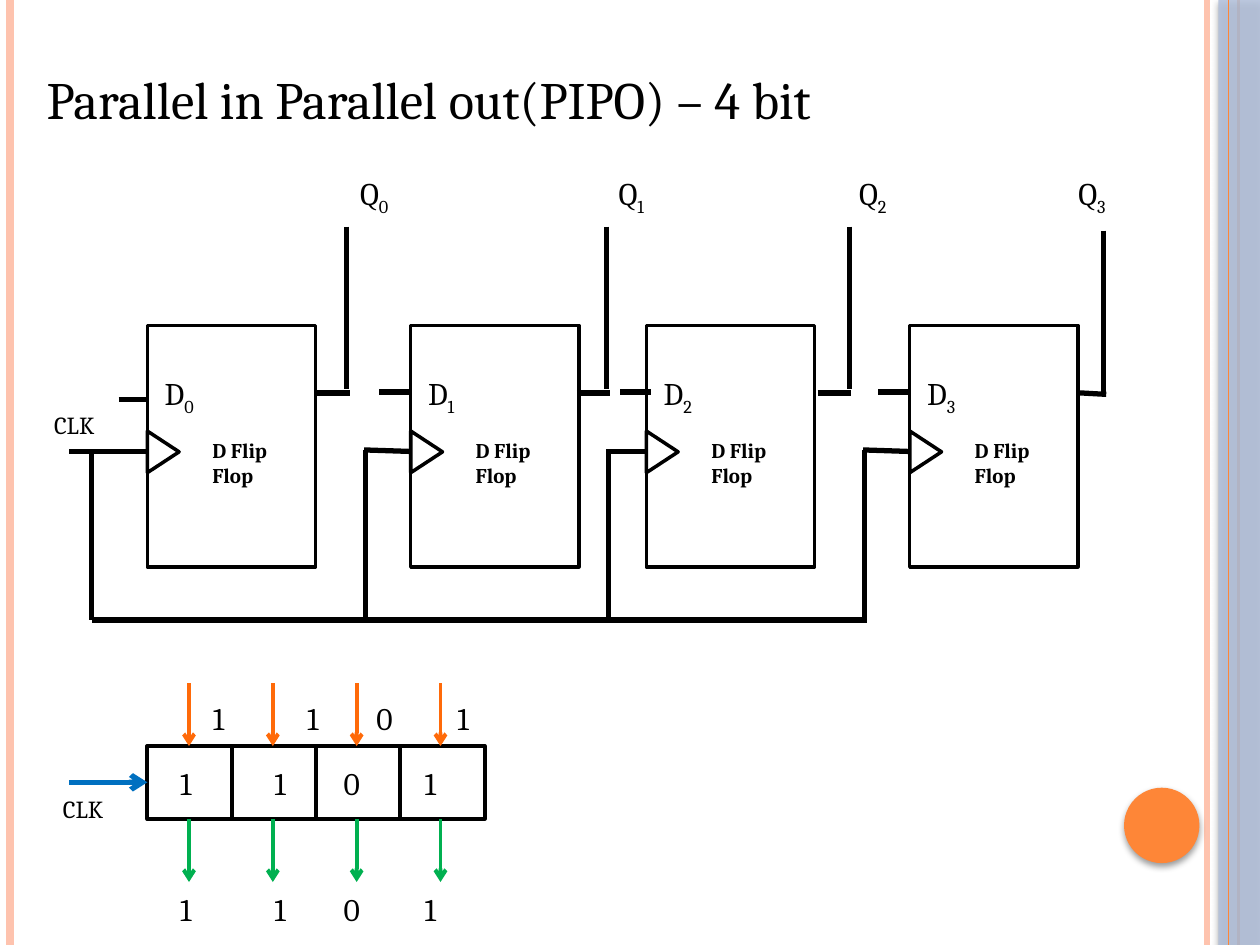
"""Build the slide on a 4-bit parallel in, parallel out register."""
from lxml.etree import SubElement as Sub
from pptx import Presentation
from pptx.dml.color import RGBColor as RGB
from pptx.enum.shapes import MSO_CONNECTOR as Link, MSO_SHAPE as Kind
from pptx.enum.text import MSO_ANCHOR as Anchor, MSO_AUTO_SIZE as Auto
from pptx.oxml.ns import qn
from pptx.util import Cm, Pt

HUES = {
    "ink": "000000", "pale": "FEC3AE", "edge": "FE8637", "side": "B3C1DB",
    "load": "FF6A09", "clock": "0070C0", "out": "00B050",
}

deck = Presentation()
deck.slide_width, deck.slide_height = Cm(25.4), Cm(19.05)
slide = deck.slides.add_slide(deck.slide_layouts[6])
shapes = slide.shapes


def wire(x1, y1, x2, y2, hue="ink", width=3, arrow=False):
    line = shapes.add_connector(Link.STRAIGHT, Cm(x1), Cm(y1), Cm(x2), Cm(y2))
    line.line.color.rgb = RGB.from_string(HUES[hue])
    line.line.width = Pt(width)
    props = line._element.spPr
    if arrow:
        Sub(props.find(qn("a:ln")), qn("a:tailEnd"), type="arrow")
    Sub(props, qn("a:effectLst"))


def label(x, y, w, h, text, size, sub="", bold=False):
    box = shapes.add_textbox(Cm(x), Cm(y), Cm(w), Cm(h))
    frame = box.text_frame
    frame.word_wrap = True
    frame.auto_size = Auto.SHAPE_TO_FIT_TEXT
    for part, base in ((text, 0), (sub, -25000)):
        if part:
            run = frame.paragraphs[0].add_run()
            run.text = part
            run.font.name = "Cambria"
            run.font.size = Pt(size)
            run.font.bold = bold
            run.font.color.rgb = RGB.from_string(HUES["ink"])
            if base:
                run._r.get_or_add_rPr().set("baseline", str(base))
    return frame


for x, hue, width in ((24.33, "pale", 3), (0.2, "pale", 4.5), (24.97, "edge", 1.5)):
    wire(x, 0, x, 19.05, hue, width)

for kind, x, y, w, h, hue, alpha in (
    (Kind.RECTANGLE, 24.56, 0, 0.84, 19.05, "side", 87),
    (Kind.OVAL, 22.66, 15.88, 1.52, 1.52, "edge", 100),
):
    form = shapes.add_shape(kind, Cm(x), Cm(y), Cm(w), Cm(h))
    form.fill.solid()
    form.fill.fore_color.rgb = RGB.from_string(HUES[hue])
    form.line.fill.background()
    form.shadow.inherit = False
    props = form._element.spPr
    tint = props.find(qn("a:solidFill")).find(qn("a:srgbClr"))
    Sub(tint, qn("a:alpha"), val=str(alpha * 1000))
    shade = Sub(props.find(qn("a:effectLst")), qn("a:outerShdw"), blurRad="50800",
                dist="25400", dir="5400000", rotWithShape="0")
    black = Sub(shade, qn("a:srgbClr"), val=HUES["ink"])
    Sub(black, qn("a:alpha"), val="40000")
wire(24.77, 0, 24.77, 19.05, "edge", 0.75)

title = label(0.69, -0.43, 20.75, 3.18, "Parallel in Parallel out(PIPO) – 4 bit", 30)
title.auto_size = Auto.NONE
title.vertical_anchor = Anchor.BOTTOM

flips = (2.97, 8.28, 13.03, 18.34)
cells = [2.97 + 1.7 * i for i in range(4)]
forms = [(Kind.RECTANGLE, x, 6.56, 3.39, 4.87, 0, 2) for x in flips]
forms += [(Kind.ISOSCELES_TRIANGLE, x - 0.1, 8.79, 0.84, 0.64, 90, 2) for x in flips]
forms += [(Kind.RECTANGLE, x, 15.04, 1.7, 1.47, 0, 2.25) for x in cells]
for kind, x, y, w, h, turn, width in forms:
    form = shapes.add_shape(kind, Cm(x), Cm(y), Cm(w), Cm(h))
    form.rotation = turn
    form.fill.background()
    form.line.color.rgb = RGB.from_string(HUES["ink"])
    form.line.width = Pt(width)
    form.shadow.inherit = False

for i, x in enumerate(flips):
    label(x + 0.1, 7.42, 1.6, 1.12, "D", 18, str(i))
    label(x + 1.06, 8.69, 2.34, 1.27, "D Flip Flop", 12, bold=True)
for i, x in enumerate((7.01, 12.22, 17.07, 21.49)):
    label(x, 3.38, 1.57, 1.12, "Q", 18, str(i))

for x1, x2, y in ((2.39, 2.95, 8.05), (7.65, 8.28, 7.9),
                  (12.5, 13.13, 7.9), (17.7, 18.34, 7.9)):
    wire(x1, y, x2, y)
for x1, x2, rise, top, end, low in (
    (6.35, 7.06, 6.98, 4.57, 7.85, 7.92), (11.63, 12.29, 12.22, 4.57, 7.85, 7.92),
    (16.48, 17.15, 17.12, 4.57, 7.85, 7.92), (21.77, 22.3, 22.25, 4.65, 7.95, 7.95),
):
    wire(x1, 7.92, x2, low)
    wire(rise, top, rise, end)
for x1, x2, y1, rise in ((1.4, 2.97, 9.1, 1.85), (7.34, 8.26, 9.07, 7.37),
                         (12.22, 13.03, 9.1, 12.27), (17.4, 18.31, 9.07, 17.42)):
    wire(x1, y1, x2, 9.1)
    wire(rise, y1, rise, 12.5)
for x1, x2 in ((1.85, 7.37), (7.19, 12.4), (12.27, 17.48)):
    wire(x1, 12.5, x2, 12.5)

wire(1.4, 15.77, 2.97, 15.77, "clock", 3, True)
for x, y in ((0.84, 8.15), (1.02, 15.88)):
    label(x, y, 1.93, 0.84, "CLK", 14)

bits = ((3.38, 1.04, "1"), (5.28, 0.79, "1"), (6.68, 1.24, "0"), (8.31, 0.79, "1"))
for i, (x, w, bit) in enumerate(bits):
    mid = 3.81 + 1.69 * i
    wire(mid, 13.77, mid, 15.04, "load", 2.25, True)
    wire(mid, 16.51, mid, 17.78, "out", 2.25, True)
    for shift, y in ((0.66, 13.97), (0, 15.27), (0, 17.81)):
        label(x + shift, y, w, 1.02, bit, 18)

deck.save("out.pptx")
